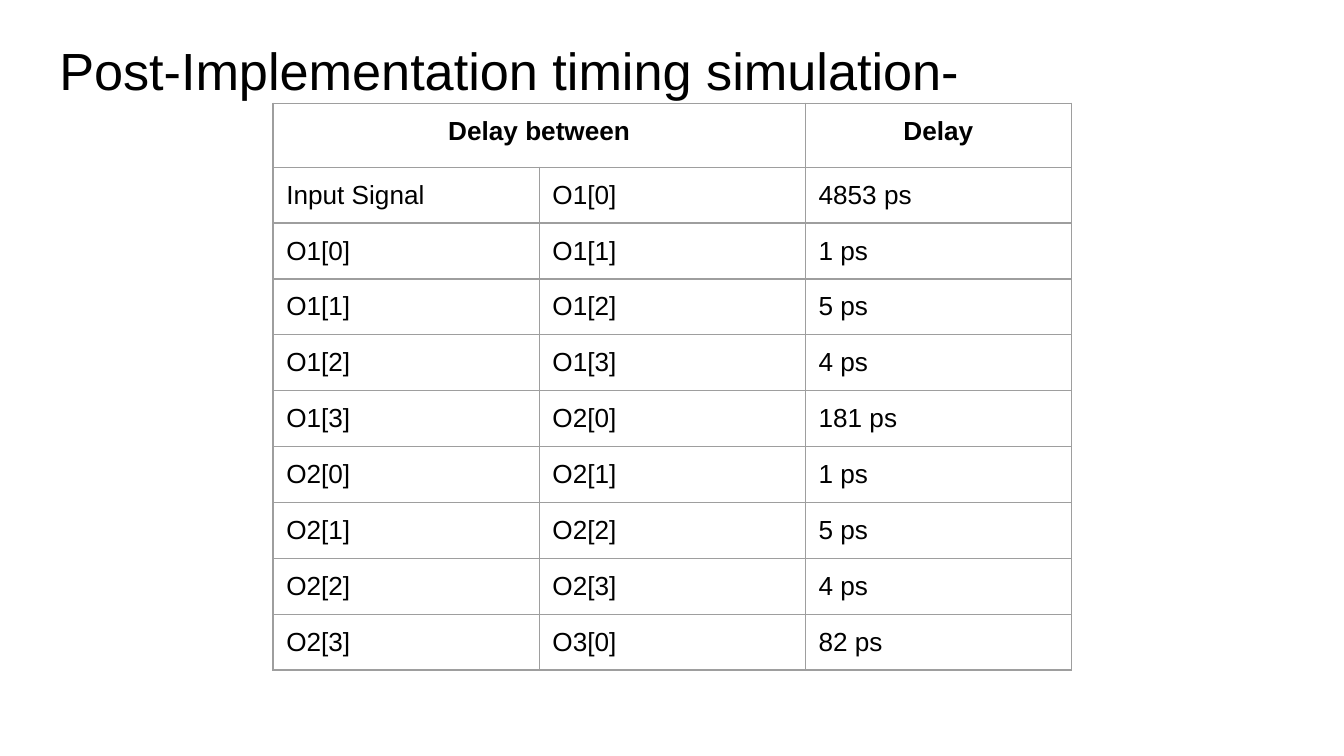
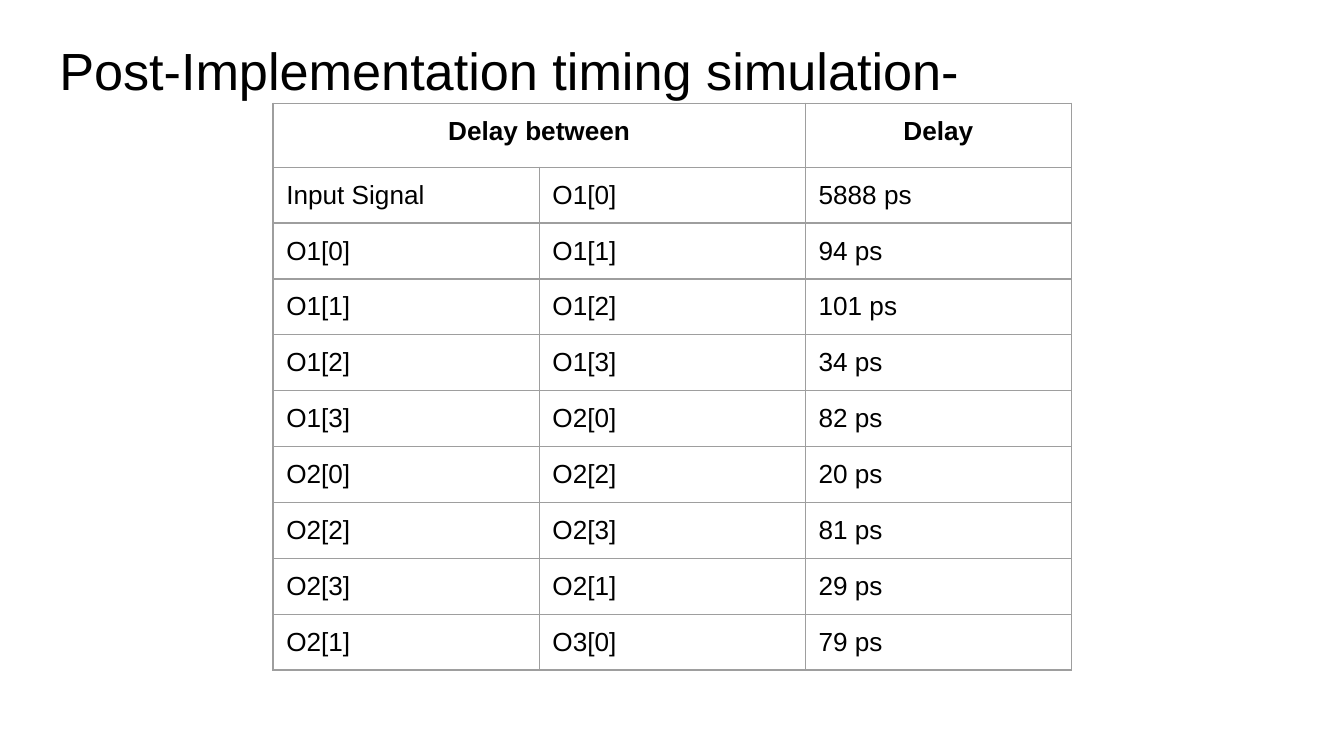
from itertools import pairwise

from lxml import etree
from pptx import Presentation
from pptx.dml.color import RGBColor
from pptx.enum.text import MSO_ANCHOR, MSO_AUTO_SIZE, PP_ALIGN
from pptx.oxml.ns import qn
from pptx.util import Cm, Pt

TOP = MSO_ANCHOR.TOP
NO_AUTOFIT = MSO_AUTO_SIZE.NONE
LEFT, CENTER = PP_ALIGN.LEFT, PP_ALIGN.CENTER
TITLE_ONLY = 5


class Theme:
    font = "Arial"
    text = RGBColor(0x00, 0x00, 0x00)
    border = "9E9E9E"
    border_width = Pt(0.75)
    title_size = Pt(28)
    cell_size = Pt(14)
    inset = Cm(0.25)


TITLE = "Post-Implementation timing simulation-"
HEADINGS = ("Delay between", "", "Delay")
COLUMN_WIDTH = Cm(5.03)
HEADER_HEIGHT = Cm(1.21)
ROW_HEIGHT = Cm(0.77)

# Each simulation: the order in which signals change, and the delay of each step in ps
SIMULATIONS = [
    (
        ["Input Signal", "O1[0]", "O1[1]", "O1[2]", "O1[3]",
         "O2[0]", "O2[1]", "O2[2]", "O2[3]", "O3[0]"],
        [4853, 1, 5, 4, 181, 1, 5, 4, 82],
    ),
    (
        ["Input Signal", "O1[0]", "O1[1]", "O1[2]", "O1[3]",
         "O2[0]", "O2[2]", "O2[3]", "O2[1]", "O3[0]"],
        [5888, 94, 101, 34, 82, 20, 81, 29, 79],
    ),
]


def write(paragraph, text, size, align=LEFT, bold=False):
    paragraph.alignment = align
    run = paragraph.add_run()
    run.text = text
    run.font.name = Theme.font
    run.font.size = size
    run.font.bold = bold
    run.font.color.rgb = Theme.text


def outline(cell):
    properties = cell._tc.get_or_add_tcPr()
    for side in ("a:lnL", "a:lnR", "a:lnT", "a:lnB"):
        line = etree.SubElement(properties, qn(side), w=str(Theme.border_width))
        fill = etree.SubElement(line, qn("a:solidFill"))
        etree.SubElement(fill, qn("a:srgbClr"), val=Theme.border)


prs = Presentation()
prs.slide_width, prs.slide_height = Cm(25.4), Cm(14.29)

for signals, delays in SIMULATIONS:
    slide = prs.slides.add_slide(prs.slide_layouts[TITLE_ONLY])

    # Title
    title = slide.shapes.title
    title.left, title.top, title.width, title.height = Cm(0.87), Cm(0.36), Cm(23.67), Cm(1.6)
    title_frame = title.text_frame
    title_frame.auto_size = NO_AUTOFIT
    title_frame.word_wrap = True
    title_frame.vertical_anchor = TOP
    title_frame.margin_left = title_frame.margin_right = Theme.inset
    title_frame.margin_top, title_frame.margin_bottom = Cm(0.37), 0
    write(title_frame.paragraphs[0], TITLE, Theme.title_size)

    # Delay table
    rows = [HEADINGS] + [
        (start, end, f"{delay} ps") for (start, end), delay in zip(pairwise(signals), delays)
    ]
    delay_table = slide.shapes.add_table(
        len(rows), len(HEADINGS), Cm(5.16), Cm(1.95),
        COLUMN_WIDTH * len(HEADINGS), HEADER_HEIGHT + ROW_HEIGHT * len(delays),
    ).table
    delay_table.first_row = delay_table.horz_banding = False
    for column in delay_table.columns:
        column.width = COLUMN_WIDTH
    for row_index, values in enumerate(rows):
        is_header = row_index == 0
        delay_table.rows[row_index].height = HEADER_HEIGHT if is_header else ROW_HEIGHT
        for column_index, value in enumerate(values):
            cell = delay_table.cell(row_index, column_index)
            outline(cell)
            cell.fill.background()
            cell.vertical_anchor = TOP
            cell.margin_left = cell.margin_right = Theme.inset
            cell.margin_top = cell.margin_bottom = Theme.inset
            if value:
                write(cell.text_frame.paragraphs[0], value, Theme.cell_size,
                      CENTER if is_header else LEFT, is_header)
    delay_table.cell(0, 0).merge(delay_table.cell(0, 1))

prs.save("out.pptx")
